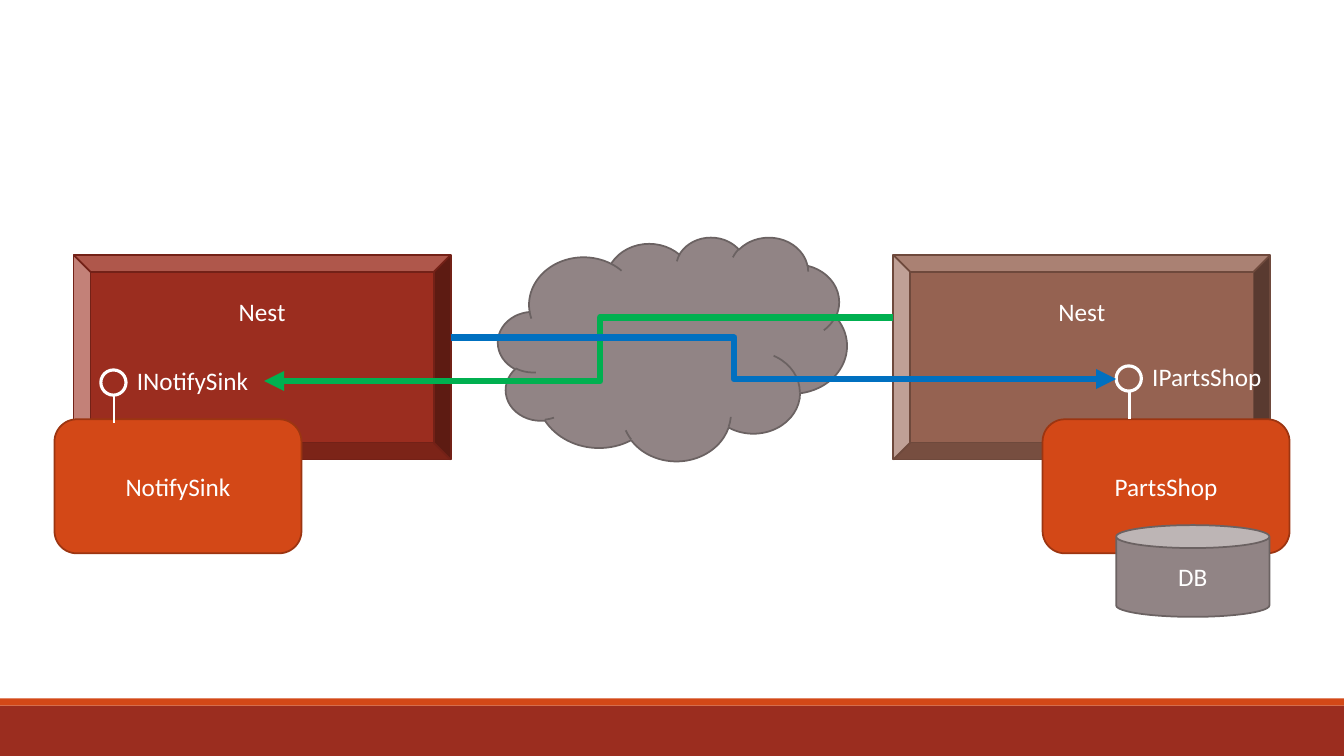
import lxml.etree
import pptx
import pptx.dml.color
import pptx.enum.shapes
import pptx.enum.text
import pptx.oxml.ns
import pptx.util

Inches, Pt = pptx.util.Inches, pptx.util.Pt
qn = pptx.oxml.ns.qn
SHAPE = pptx.enum.shapes.MSO_SHAPE
CONNECTOR = pptx.enum.shapes.MSO_CONNECTOR
ANCHOR = pptx.enum.text.MSO_ANCHOR
ALIGN = pptx.enum.text.PP_ALIGN
WHITE, ORANGE, RED, GREY = "FFFFFF", "D34817", "9B2D1F", "918485"
GREY_EDGE, ORANGE_EDGE = "6B6262", "9C3511"


def paint(item, fill=None, line=None, width=1.25):
    """Set fill and outline from hex strings and remove the shadow."""
    if hasattr(item, "fill"):
        item.shadow.inherit = False
        if fill:
            item.fill.solid()
            item.fill.fore_color.rgb = pptx.dml.color.RGBColor.from_string(fill)
        else:
            item.fill.background()
    else:
        lxml.etree.SubElement(item._element.spPr, qn("a:effectLst"))
    if line:
        item.line.color.rgb = pptx.dml.color.RGBColor.from_string(line)
        item.line.width = Pt(width)
    else:
        item.line.fill.background()


def write(box, text, align=ALIGN.CENTER, **frame_format):
    for name, value in {"word_wrap": True, **frame_format}.items():
        setattr(box.text_frame, name, value)
    para = box.text_frame.paragraphs[0]
    para.alignment = align
    span = para.add_run()
    span.text = text
    for name, value in {"name": "Calibri", "size": Pt(18)}.items():
        setattr(span.font, name, value)
    span.font.color.rgb = pptx.dml.color.RGBColor.from_string(WHITE)


deck = pptx.Presentation()
deck.slide_width, deck.slide_height = Inches(13.33), Inches(7.5)
page = deck.slides.add_slide(deck.slide_layouts[6])
shapes = page.shapes

# Footer bands
for top, height, colour in [(7, 0.5, RED), (6.93, 0.07, ORANGE)]:
    band = shapes.add_shape(SHAPE.RECTANGLE, 0, Inches(top), deck.slide_width, Inches(height))
    paint(band, colour)

# Network cloud between the two nests
cloud = shapes.add_shape(SHAPE.CLOUD, Inches(4.94), Inches(2.35), Inches(3.46), Inches(2.22))
paint(cloud, GREY, GREY_EDGE)

for left, fill, edge in [(0.73, RED, "732117"), (8.86, "956251", "6E493C")]:
    nest = shapes.add_shape(SHAPE.BEVEL, Inches(left), Inches(2.53), Inches(3.74), Inches(2.03))
    nest.adjustments[0] = 0.083
    paint(nest, fill, edge)
    write(nest, "Nest", vertical_anchor=ANCHOR.TOP, margin_top=Inches(0.24))

for left, name in [(0.54, "NotifySink"), (10.34, "PartsShop")]:
    component = shapes.add_shape(
        SHAPE.ROUNDED_RECTANGLE, Inches(left), Inches(4.16), Inches(2.45), Inches(1.33))
    paint(component, ORANGE, ORANGE_EDGE)
    write(component, name, vertical_anchor=ANCHOR.MIDDLE)

# Interface symbols: stem, ring and name
for left, top, name in [(11.07, 3.63, "IPartsShop"), (1, 3.67, "INotifySink")]:
    stem_x = Inches(left + 0.13)
    stem = shapes.add_connector(
        CONNECTOR.STRAIGHT, stem_x, Inches(top + 0.26), stem_x, Inches(top + 0.53))
    paint(stem, line=WHITE, width=2)
    ring = shapes.add_shape(SHAPE.OVAL, Inches(left), Inches(top), Inches(0.25), Inches(0.25))
    paint(ring, line=WHITE, width=2.25)
    label = shapes.add_textbox(
        Inches(left + 0.26), Inches(top - 0.09), Inches(1.37), Inches(0.4))
    write(label, name, ALIGN.LEFT)

# Calls across the network
for start_x, start_y, end_x, end_y, bend, colour in [
    (8.86, 3.15, 2.62, 3.78, 46600, "00B050"),
    (4.47, 3.35, 11.07, 3.76, 42600, "0070C0"),
]:
    call = shapes.add_connector(
        CONNECTOR.ELBOW, Inches(start_x), Inches(start_y), Inches(end_x), Inches(end_y))
    paint(call, line=colour, width=4.75)
    properties = call._element.spPr
    guides = properties.find(".//" + qn("a:avLst"))
    lxml.etree.SubElement(guides, qn("a:gd"), name="adj1", fmla=f"val {bend}")
    lxml.etree.SubElement(properties.find(qn("a:ln")), qn("a:tailEnd"), type="triangle")

database = shapes.add_shape(SHAPE.CAN, Inches(11.07), Inches(5.21), Inches(1.52), Inches(0.91))
paint(database, GREY, GREY_EDGE)
write(database, "DB", vertical_anchor=ANCHOR.MIDDLE)

deck.save("out.pptx")
